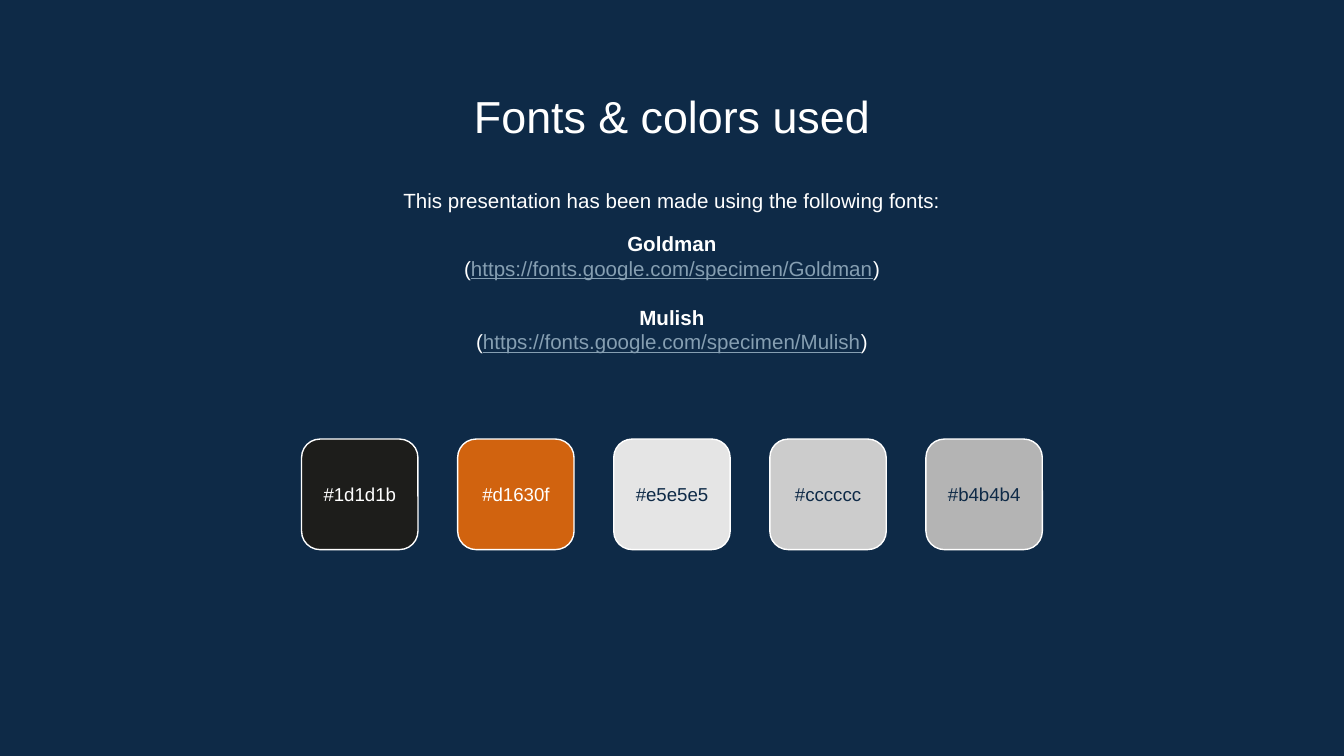
from dataclasses import dataclass

from pptx import Presentation
from pptx import util as u
from pptx.dml.color import RGBColor
from pptx.enum import shapes, text

NAVY, WHITE, LINK = "0E2A47", "FFFFFF", "869FB2"
PAGE_WIDTH, PAGE_HEIGHT = 25.4, 14.29
TEXT_LEFT, TEXT_WIDTH = 1.99, 21.42
SWATCH_WIDTH, SWATCH_HEIGHT, SWATCH_TOP = 2.2, 2.09, 8.3
SWATCH_PITCH = 2.95
LABEL_HEIGHT = 1.22


@dataclass
class Span:
    words: str
    color: str = WHITE
    bold: bool = False
    underline: bool = False


@dataclass
class Para:
    spans: list[Span]
    space_before: float = 0


@dataclass
class Swatch:
    fill: str
    label_color: str


SWATCHES = [
    Swatch("1d1d1b", WHITE),
    Swatch("d1630f", WHITE),
    Swatch("e5e5e5", NAVY),
    Swatch("cccccc", NAVY),
    Swatch("b4b4b4", NAVY),
]


def rgb(color: str) -> RGBColor:
    return RGBColor.from_string(color.upper())


def add_text(page, left: float, top: float, width: float, height: float,
             paras: list[Para], size: float, anchor=text.MSO_ANCHOR.TOP) -> None:
    box = page.shapes.add_textbox(u.Cm(left), u.Cm(top), u.Cm(width), u.Cm(height))
    frame = box.text_frame
    frame.word_wrap = True
    frame.vertical_anchor = anchor
    frame.margin_left = frame.margin_right = u.Cm(0.25)
    frame.margin_top = frame.margin_bottom = u.Cm(0.25)
    for index, para in enumerate(paras):
        line = frame.add_paragraph() if index else frame.paragraphs[0]
        line.alignment = text.PP_ALIGN.CENTER
        if para.space_before:
            line.space_before = u.Pt(para.space_before)
        for span in para.spans:
            run = line.add_run()
            run.text = span.words
            run.font.name = "Arial"
            run.font.size = u.Pt(size)
            run.font.bold = span.bold
            run.font.underline = span.underline
            run.font.color.rgb = rgb(span.color)


def font_entry(name: str, space_before: float) -> list[Para]:
    address = f"https://fonts.google.com/specimen/{name}"
    return [
        Para([Span(name, bold=True)], space_before),
        Para([Span("("), Span(address, LINK, underline=True), Span(")")]),
    ]


def add_swatch(page, left: float, swatch: Swatch) -> None:
    tile = page.shapes.add_shape(
        shapes.MSO_SHAPE.ROUNDED_RECTANGLE,
        u.Cm(left), u.Cm(SWATCH_TOP), u.Cm(SWATCH_WIDTH), u.Cm(SWATCH_HEIGHT))
    tile.shadow.inherit = False
    tile.fill.solid()
    tile.fill.fore_color.rgb = rgb(swatch.fill)
    tile.line.color.rgb = rgb(WHITE)
    tile.line.width = u.Pt(0.75)
    label_top = SWATCH_TOP + (SWATCH_HEIGHT - LABEL_HEIGHT) / 2
    label = Para([Span(f"#{swatch.fill}", swatch.label_color)])
    add_text(page, left, label_top, SWATCH_WIDTH, LABEL_HEIGHT, [label], 10,
             text.MSO_ANCHOR.MIDDLE)


def main() -> None:
    deck = Presentation()
    deck.slide_width, deck.slide_height = u.Cm(PAGE_WIDTH), u.Cm(PAGE_HEIGHT)
    page = deck.slides.add_slide(deck.slide_layouts[6])
    page.background.fill.solid()
    page.background.fill.fore_color.rgb = rgb(NAVY)

    add_text(page, TEXT_LEFT, 1.42, TEXT_WIDTH, 1.35,
             [Para([Span("Fonts & colors used")])], 24)
    intro = Para([Span("This presentation has been made using the following fonts:")])
    add_text(page, TEXT_LEFT, 3.3, TEXT_WIDTH, 4.06,
             [intro, *font_entry("Goldman", 10), *font_entry("Mulish", 13)], 11)

    row_width = SWATCH_PITCH * (len(SWATCHES) - 1) + SWATCH_WIDTH
    row_left = (PAGE_WIDTH - row_width) / 2
    for index, swatch in enumerate(SWATCHES):
        add_swatch(page, row_left + index * SWATCH_PITCH, swatch)

    deck.save("out.pptx")


if __name__ == "__main__":
    main()
